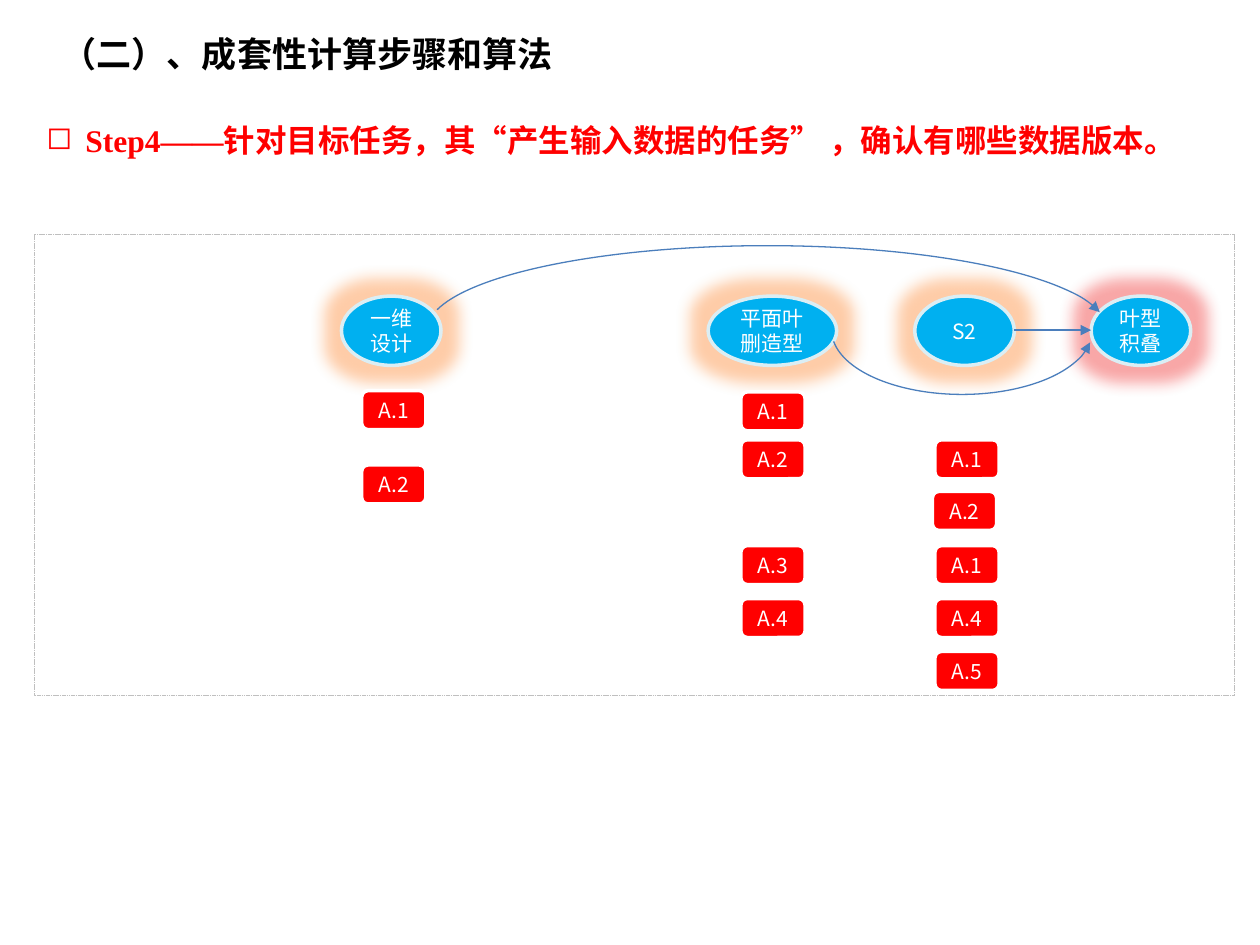
from lxml import etree
from pptx import Presentation
from pptx.dml.color import RGBColor
from pptx.enum.dml import MSO_LINE
from pptx.enum.shapes import MSO_CONNECTOR, MSO_SHAPE
from pptx.enum.text import MSO_ANCHOR, PP_ALIGN
from pptx.oxml.ns import qn
from pptx.util import Inches, Pt

RECTANGLE, ELLIPSE = MSO_SHAPE.RECTANGLE, MSO_SHAPE.OVAL
ROUNDED, ARC = MSO_SHAPE.ROUNDED_RECTANGLE, MSO_SHAPE.ARC
LEFT, CENTER = PP_ALIGN.LEFT, PP_ALIGN.CENTER
TOP, MIDDLE = MSO_ANCHOR.TOP, MSO_ANCHOR.MIDDLE
STRAIGHT, DASH = MSO_CONNECTOR.STRAIGHT, MSO_LINE.SQUARE_DOT

CJK_FONT = "Noto Sans CJK SC"
ORANGE_GLOW, RED_GLOW = "FF8126", "F02222"
ARROW_COLOR = "4B7EBC"

# Task ellipses: text, left, width, glow
TASK_TOP, TASK_HEIGHT = 2.35, 0.55
TASKS = [
    ("一维设计", 2.71, 0.79, ORANGE_GLOW),
    ("平面叶删造型", 5.62, 1.02, ORANGE_GLOW),
    ("S2", 7.26, 0.79, ORANGE_GLOW),
    ("叶型积叠", 8.66, 0.79, RED_GLOW),
]

# Data versions under each task: text, left, top
VERSIONS = [
    ("A.1", 2.87, 3.10), ("A.2", 2.87, 3.69),
    ("A.1", 5.88, 3.11), ("A.2", 5.88, 3.49),
    ("A.3", 5.88, 4.33), ("A.4", 5.88, 4.75),
    ("A.1", 7.42, 3.49), ("A.2", 7.40, 3.90), ("A.1", 7.42, 4.33),
    ("A.4", 7.42, 4.75), ("A.5", 7.42, 5.17),
]


def color(value):
    return RGBColor.from_string(value)


def box(left, top, width, height):
    return [Inches(length) for length in (left, top, width, height)]


def write(shape, text, size, text_color, font=CJK_FONT, bold=False,
          align=CENTER, anchor=MIDDLE):
    """Put one formatted paragraph into a shape and return it."""
    frame = shape.text_frame
    frame.word_wrap = True
    frame.vertical_anchor = anchor
    paragraph = frame.paragraphs[0]
    paragraph.alignment = align
    run = paragraph.add_run()
    run.text = text
    for name, value in {"size": Pt(size), "bold": bold, "name": font}.items():
        setattr(run.font, name, value)
    run.font.color.rgb = color(text_color)
    east_asian = etree.SubElement(run.font._element, qn("a:ea"))
    east_asian.set("typeface", CJK_FONT)
    return paragraph


def set_line(line, line_color, width):
    line.color.rgb = color(line_color)
    line.width = Pt(width)


def add_arrowhead(line, end):
    etree.SubElement(line._get_or_add_ln(), qn(f"a:{end}")).set("type", "triangle")


def add_block(slide, kind, position, fill, line_color, line_width):
    shape = slide.shapes.add_shape(kind, *box(*position))
    shape.shadow.inherit = False
    shape.fill.solid()
    shape.fill.fore_color.rgb = color(fill)
    set_line(shape.line, line_color, line_width)
    return shape


def add_glow(shape, glow_color):
    effects = shape._element.spPr.find(qn("a:effectLst"))
    glow = etree.SubElement(effects, qn("a:glow"), rad=str(Pt(18)))
    tint = etree.SubElement(glow, qn("a:srgbClr"), val=glow_color)
    etree.SubElement(tint, qn("a:alpha"), val="40000")


def add_task(slide, text, left, width, glow_color):
    position = (left, TASK_TOP, width, TASK_HEIGHT)
    shape = add_block(slide, ELLIPSE, position, "00B0F0", "DBEEF4", 2)
    add_glow(shape, glow_color)
    write(shape, text, 12, "FFFFFF")


def add_version(slide, text, left, top):
    position = (left, top, 0.51, 0.31)
    shape = add_block(slide, ROUNDED, position, "FF0000", "FFFFFF", 2)
    write(shape, text, 12, "FFFFFF")


def add_arrow(slide, start, end, y):
    arrow = slide.shapes.add_connector(
        STRAIGHT, Inches(start), Inches(y), Inches(end), Inches(y))
    set_line(arrow.line, ARROW_COLOR, 0.75)
    add_arrowhead(arrow.line, "tailEnd")
    etree.SubElement(arrow._element.spPr, qn("a:effectLst"))


def add_arc(slide, position, angles, arrow_end, rotation=0):
    arc = slide.shapes.add_shape(ARC, *box(*position))
    arc.shadow.inherit = False
    arc.rotation = rotation
    for index, angle in enumerate(angles):
        arc.adjustments[index] = angle * 0.6  # degrees to arc units
    arc.fill.background()
    set_line(arc.line, ARROW_COLOR, 0.75)
    add_arrowhead(arc.line, arrow_end)


def add_title(slide, text):
    title = slide.shapes.title
    places = zip(("left", "top", "width", "height"), box(0.39, 0.21, 6.35, 0.44))
    for name, value in places:
        setattr(title, name, value)
    write(title, text, 20, "000000", bold=True, align=LEFT, anchor=TOP)


def add_step(slide, text):
    step = slide.shapes.add_textbox(*box(0.27, 0.76, 9.61, 0.56))
    paragraph = write(step, text, 18, "FF0000", font="Times New Roman",
                      bold=True, align=LEFT, anchor=TOP)
    paragraph.line_spacing = 1.5
    properties = paragraph._p.get_or_add_pPr()
    properties.set("marL", str(Inches(0.31)))
    properties.set("indent", str(Inches(-0.31)))
    etree.SubElement(properties, qn("a:buChar"), char="◻")


def main():
    presentation = Presentation()
    presentation.slide_width, presentation.slide_height = Inches(10), Inches(7.5)
    slide = presentation.slides.add_slide(presentation.slide_layouts[5])

    # Headings
    add_title(slide, "（二）、成套性计算步骤和算法")
    add_step(slide, "Step4——针对目标任务，其“产生输入数据的任务” ，确认有哪些数据版本。")

    # Diagram frame and tasks
    frame = add_block(slide, RECTANGLE, (0.27, 1.86, 9.53, 3.66),
                      "FFFFFF", "BFBFBF", 0.25)
    frame.line.dash_style = DASH
    for task in TASKS:
        add_task(slide, *task)

    # Data flows into the target task
    add_arrow(slide, 8.05, 8.66, 2.62)
    add_arc(slide, (3.39, 1.95, 5.4, 1.34), (183.53, 356.92), "tailEnd")
    add_arc(slide, (6.6, 2.11, 2.07, 1.02), (185.46, 354.99), "headEnd", 180)

    # Data versions
    for version in VERSIONS:
        add_version(slide, *version)

    presentation.save("out.pptx")


if __name__ == "__main__":
    main()
